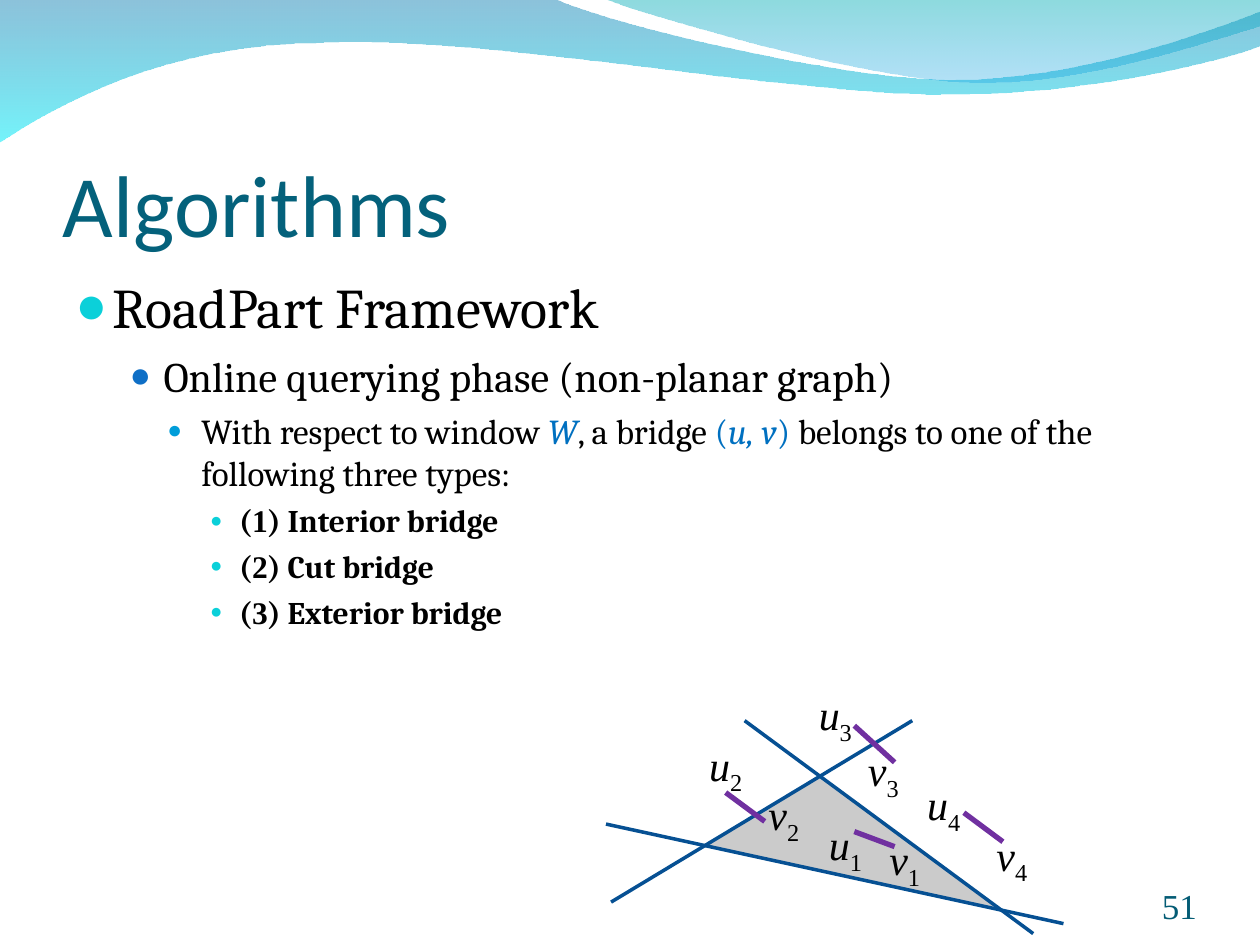
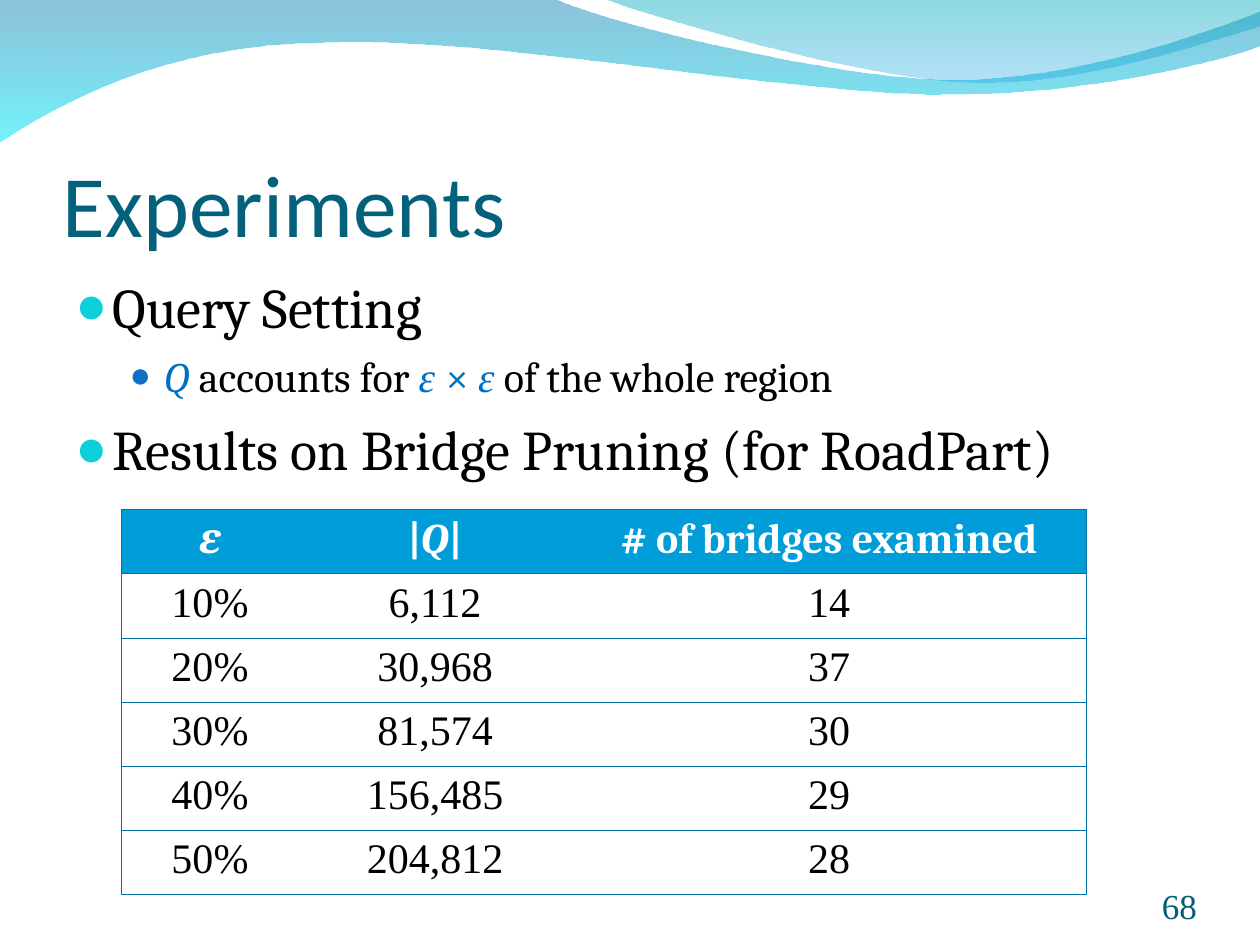
from lxml import etree
from pptx import Presentation
from pptx.dml.color import RGBColor
from pptx.enum import shapes, text
from pptx.oxml import ns
from pptx.util import Pt

BLACK = RGBColor(0x00, 0x00, 0x00)
WHITE = RGBColor(0xFF, 0xFF, 0xFF)
TITLE = RGBColor(0x04, 0x61, 0x7B)
NUMBER = RGBColor(0x04, 0x5C, 0x75)
ACCENT = RGBColor(0x00, 0x70, 0xC0)
CYAN = RGBColor(0x0B, 0xD0, 0xD9)
BLUE = RGBColor(0x0F, 0x6F, 0xC6)
SKY = RGBColor(0x00, 0x9D, 0xD9)
BORDER = RGBColor(0x00, 0x73, 0xA1)
CUT_LINE = RGBColor(0x06, 0x50, 0x93)
BRIDGE = RGBColor(0x70, 0x30, 0xA0)
WINDOW = RGBColor(0xBF, 0xBF, 0xBF)
WAVE_TOP = RGBColor(0x00, 0x79, 0xAF)
WAVE_END = RGBColor(0x00, 0xEB, 0xF8)
CREST_TOP = RGBColor(0x00, 0xAD, 0xB6)
CREST_END = RGBColor(0x00, 0x9B, 0xE5)

HEAD, BODY, SERIF = "Calibri", "Cambria", "Times New Roman"

# size, indent, hanging, space before, bullet colour, bullet size
LEVELS = [
    (32, 21.2, 21.2, 8, CYAN, 95),
    (24, 50.4, 19.4, 6, BLUE, 85),
    (20, 72, 19.4, 5, SKY, 70),
    (18, 93.6, 16.6, 4.5, CYAN, 65),
]

WAVE = [
    [(0, -0.7)], [(316.8, -0.7)],
    [(342.7, 12.2), (478.1, 45.4), (545.8, 45.4)],
    [(614.2, 45.4), (689.8, 18.7), (720, 6.5)],
    [(720.7, 25.9)],
    [(707.8, 31.7), (626.4, 54.7), (537.1, 54)],
    [(447.8, 54), (275, 20.2), (185, 24.5)],
    [(92.9, 25.2), (33.1, 59.8), (-0.7, 81.4)],
]
CREST = [
    [(344.9, -0.7)],
    [(366.5, 7.9), (491, 44.6), (553.7, 46.8)],
    [(616.3, 49.7), (691.9, 23), (720, 15.1)],
    [(720, 0)],
]
TRIANGLE = [[(468.7, 443.5)], [(403.2, 483.8)], [(570.2, 519.1)]]


def sub(parent, tag, **attrs):
    return etree.SubElement(parent, ns.qn(tag), attrs)


class Deck:
    def __init__(self):
        self.prs = Presentation()
        self.prs.slide_width, self.prs.slide_height = Pt(720), Pt(540)

    def slide(self, title, number):
        self.s = self.prs.slides.add_slide(self.prs.slide_layouts[6])
        self.outline(WAVE, [(WAVE_TOP, 45), (WAVE_END, 55)])
        self.outline(CREST, [(CREST_TOP, 45), (CREST_END, 30)])
        tf = self.box(36, 55.8, 648, 90, (0, 3.6, 0, 0), text.MSO_ANCHOR.BOTTOM)
        self.run(tf.paragraphs[0], title, 50, HEAD, TITLE)
        tf = self.box(624.2, 500.4, 59.8, 28.8, (0, 0, 0, 0), text.MSO_ANCHOR.BOTTOM)
        tf.paragraphs[0].alignment = text.PP_ALIGN.RIGHT
        self.run(tf.paragraphs[0], number, 20, SERIF, NUMBER)

    def outline(self, segments, stops):
        points = [(Pt(x), Pt(y)) for segment in segments for x, y in segment]
        builder = self.s.shapes.build_freeform(*points[0])
        builder.add_line_segments(points[1:], close=True)
        sp = builder.convert_to_shape()
        self.curve(sp, segments)
        sp.shadow.inherit = False
        sp.line.fill.background()
        if len(stops) == 1:
            sp.fill.solid()
            sp.fill.fore_color.rgb = stops[0][0]
        else:
            sp.fill.gradient()
            sp.fill.gradient_angle = 270
            for stop, (color, _) in zip(sp.fill.gradient_stops, stops):
                stop.color.rgb = color
        fills = list(sp.element.spPr.iter(ns.qn("a:srgbClr")))
        for fill, (_, opacity) in zip(fills, stops):
            sub(fill, "a:alpha", val=str(opacity * 1000))

    def curve(self, sp, segments):
        steps = iter(list(sp.element.spPr.iter(ns.qn("a:lnTo"))))
        for segment in segments[1:]:
            first, *others = [next(steps) for _ in segment]
            if others:
                bezier = etree.Element(ns.qn("a:cubicBezTo"))
                first.addprevious(bezier)
                for step in (first, *others):
                    bezier.append(step[0])
                    step.getparent().remove(step)

    def box(self, x, y, w, h, insets=(7.2, 3.6, 7.2, 3.6),
            anchor=text.MSO_ANCHOR.TOP, wrap=True):
        tf = self.s.shapes.add_textbox(Pt(x), Pt(y), Pt(w), Pt(h)).text_frame
        tf.word_wrap = wrap
        tf.vertical_anchor = anchor
        tf.margin_left, tf.margin_top, tf.margin_right, tf.margin_bottom = map(Pt, insets)
        return tf

    def run(self, p, words, size, font=BODY, color=BLACK, bold=False, italic=False):
        r = p.add_run()
        r.text = words
        r.font.size, r.font.name = Pt(size), font
        r.font.bold, r.font.italic = bold, italic
        r.font.color.rgb = color
        return r

    def bullets(self, h, items):
        tf = self.box(36, 152.2, 621.4, h)
        for i, (level, runs) in enumerate(items):
            p = tf.add_paragraph() if i else tf.paragraphs[0]
            size, indent, hanging, before, color, percent = LEVELS[level]
            p.level = level
            pPr = p._p.get_or_add_pPr()
            pPr.set("marL", str(Pt(indent)))
            pPr.set("indent", str(-Pt(hanging)))
            sub(sub(pPr, "a:buClr"), "a:srgbClr", val=str(color))
            sub(pPr, "a:buSzPct", val=str(percent * 1000))
            sub(pPr, "a:buFont", typeface=SERIF)
            sub(pPr, "a:buChar", char="●")
            p.space_before = Pt(before if i else 0)
            for words, style in runs:
                self.run(p, words, size, **style)

    def line(self, x1, y1, x2, y2, color, width):
        cx = self.s.shapes.add_connector(shapes.MSO_CONNECTOR.STRAIGHT,
                                         Pt(x1), Pt(y1), Pt(x2), Pt(y2))
        cx.line.color.rgb = color
        cx.line.width = Pt(width)
        sub(cx._element.spPr, "a:effectLst")

    def vertex(self, name, index, x, y):
        tf = self.box(x, y, 33.1, 40.3, wrap=False)
        tf.auto_size = text.MSO_AUTO_SIZE.SHAPE_TO_FIT_TEXT
        p = tf.paragraphs[0]
        self.run(p, name, 24, SERIF, italic=True)
        r = self.run(p, index, 24, SERIF)
        r.font._element.set("baseline", "-25000")

    def table(self, x, y, widths, row_height, header, rows):
        count = len(rows) + 1
        table = self.s.shapes.add_table(count, len(widths), Pt(x), Pt(y), Pt(sum(widths)),
                                        Pt(row_height * count)).table
        table.horz_banding = False
        for column, width in zip(table.columns, widths):
            column.width = Pt(width)
        for row in table.rows:
            row.height = Pt(row_height)
        body = [[[(value, {"font": SERIF})] for value in row] for row in rows]
        for i, row in enumerate([header] + body):
            for j, runs in enumerate(row):
                cell = table.cell(i, j)
                self.borders(cell, j == 0, j == len(widths) - 1)
                if i:
                    cell.fill.background()
                else:
                    cell.fill.solid()
                    cell.fill.fore_color.rgb = SKY
                p = cell.text_frame.paragraphs[0]
                p.alignment = text.PP_ALIGN.CENTER
                for words, style in runs:
                    self.run(p, words, 24, **style)

    def borders(self, cell, first, last):
        tcPr = cell._tc.get_or_add_tcPr()
        for side, drawn in (("L", first), ("R", last), ("T", True), ("B", True)):
            ln = sub(tcPr, "a:ln" + side, w=str(Pt(0.34)))
            if drawn:
                sub(sub(ln, "a:solidFill"), "a:srgbClr", val=str(BORDER))
            else:
                sub(ln, "a:noFill")


def algorithms(deck):
    deck.slide("Algorithms", "51")
    plain, blue = {}, {"color": ACCENT}
    variable = {"color": ACCENT, "italic": True}
    bold, digit = {"bold": True}, {"bold": True, "font": SERIF}
    types = [(3, [("(", bold), (str(n), digit), (f") {kind} bridge", bold)])
             for n, kind in enumerate(("Interior", "Cut", "Exterior"), 1)]
    deck.bullets(367.2, [
        (0, [("RoadPart Framework", plain)]),
        (1, [("Online querying phase (non-planar graph)", plain)]),
        (2, [("With respect to window ", plain), ("W", variable), (", a bridge ", plain),
             ("(", blue), ("u, v", variable), (") ", blue),
             ("belongs to one of the following three types:", plain)]),
    ] + types)

    deck.outline(TRIANGLE, [(WINDOW, 80)])
    for ends in ((425.5, 411.8, 590.4, 533.5), (349.2, 515.5, 521.3, 411.8),
                 (346.3, 470.9, 607.7, 527.8)):
        deck.line(*ends, CUT_LINE, 2)
    for ends in ((550.8, 464.4, 573.1, 481), (488.2, 414.7, 511.2, 435.6),
                 (414.7, 452.9, 437, 469.4), (488.2, 475.2, 511.2, 483.8)):
        deck.line(*ends, BRIDGE, 3)
    for index, u, v in (("4", (522.7, 441.4), (562.3, 470.2)),
                        ("1", (466.6, 464.4), (501.1, 473)),
                        ("2", (398.2, 419), (432, 447.1)),
                        ("3", (460.8, 390.2), (488.9, 421.9))):
        deck.vertex("u", index, *u)
        deck.vertex("v", index, *v)


def experiments(deck):
    deck.slide("Experiments", "68")
    plain, blue = {}, {"color": ACCENT}
    variable = {"color": ACCENT, "italic": True}
    epsilon = {"color": ACCENT, "italic": True, "font": SERIF}
    deck.bullets(270, [
        (0, [("Query Setting", plain)]),
        (1, [("Q", variable), (" accounts for ", plain), ("ɛ ", epsilon), ("× ", blue),
             ("ɛ", epsilon), (" of the whole region", plain)]),
        (0, [("Results on Bridge Pruning (for RoadPart)", plain)]),
    ])
    head = {"color": WHITE, "bold": True}
    symbol = {"color": WHITE, "bold": True, "italic": True}
    deck.table(69.4, 291.2, (101.2, 156, 294.4), 36.65,
               [[("ɛ", symbol)], [("|", head), ("Q", symbol), ("|", head)],
                [("# of bridges examined", head)]],
               [("10%", "6,112", "14"), ("20%", "30,968", "37"), ("30%", "81,574", "30"),
                ("40%", "156,485", "29"), ("50%", "204,812", "28")])


def main():
    deck = Deck()
    algorithms(deck)
    experiments(deck)
    deck.prs.save("out.pptx")


if __name__ == "__main__":
    main()
